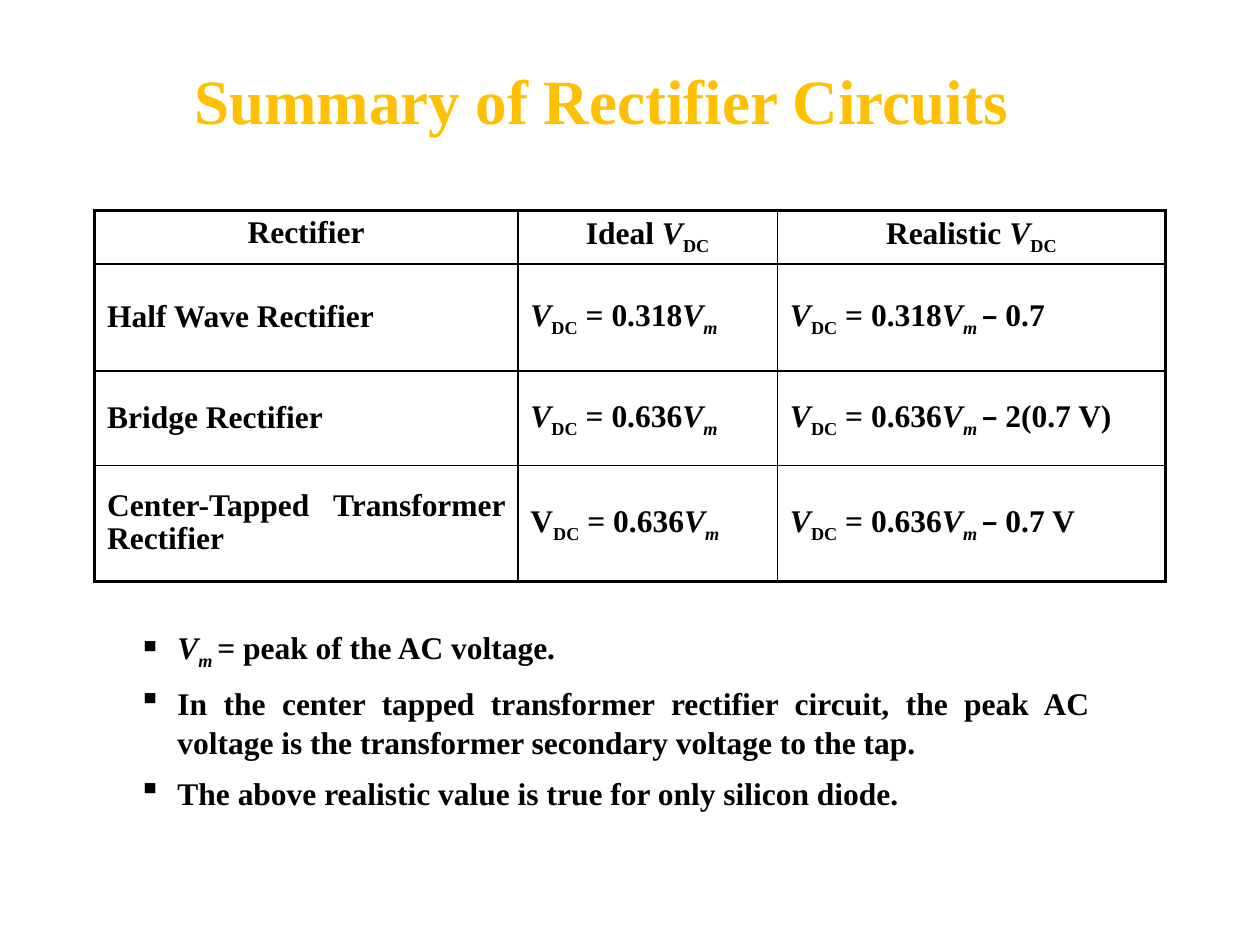
from lxml.etree import SubElement
from pptx import Presentation
from pptx.dml.color import RGBColor
from pptx.enum.text import MSO_ANCHOR as ANCHOR, PP_ALIGN as ALIGN
from pptx.oxml.ns import qn
from pptx.util import Inches, Pt

BLACK = RGBColor(0, 0, 0)
GOLD = RGBColor(0xFF, 0xC0, 0x00)
FONT = "Times New Roman"
DASH_FONT = "Cambria"

# Rich text is a list of (text, style): i = italic, s = subscript, d = dash font.
V_DC = [("V", "i"), ("DC", "s")]
COLUMNS = [3.36, 2.06, 3.08]
ROWS = [0.4, 0.85, 0.75, 0.92]
HEADER = [[("Rectifier", "")], [("Ideal ", "")] + V_DC,
          [("Realistic ", "")] + V_DC]
# Name, style of the leading V, factor, voltage drop
RECTIFIERS = [
    ("Half Wave Rectifier", "i", "0.318", "0.7"),
    ("Bridge Rectifier", "i", "0.636", "2(0.7 V)"),
    ("Center-Tapped Transformer Rectifier", "", "0.636", "0.7 V"),
]
NOTES = [
    [("V", "i"), ("m ", "is"), ("= peak of the AC voltage.", "")],
    [("In the center tapped transformer rectifier circuit, the peak AC "
      "voltage is the transformer secondary voltage to the tap.", "")],
    [("The above realistic value is true for only silicon diode.", "")],
]


def write(p, runs, size=18, color=BLACK):
    for text, style in runs:
        r = p.add_run()
        r.text = text
        f = r.font
        f.name = DASH_FONT if "d" in style else FONT
        f.size, f.bold, f.italic = Pt(size), True, "i" in style
        f.color.rgb = color
        if "s" in style:
            r._r.get_or_add_rPr().set("baseline", "-25000")


def add_text_box(slide, box, margin):
    tf = slide.shapes.add_textbox(*map(Inches, box)).text_frame
    tf.word_wrap = True
    tf.margin_left = tf.margin_right = Inches(margin)
    tf.margin_top = tf.margin_bottom = Inches(margin / 2)
    return tf


def add_title(slide, box, text):
    tf = add_text_box(slide, box, 0)
    write(tf.paragraphs[0], [(text, "")], 36, GOLD)


def add_notes(slide, box, notes):
    tf = add_text_box(slide, box, 0.1)
    for n, runs in enumerate(notes):
        p = tf.add_paragraph() if n else tf.paragraphs[0]
        p.alignment = ALIGN.JUSTIFY
        p.line_spacing = 1.05
        p.space_after = Pt(6)
        pPr = p._p.get_or_add_pPr()
        pPr.set("marL", str(Inches(0.31)))
        pPr.set("indent", str(Inches(-0.31)))
        SubElement(pPr, qn("a:buChar"), char="▪")
        write(p, runs)


def table_rows():
    yield HEADER
    for name, v_style, factor, drop in RECTIFIERS:
        tail = [(f" = {factor}", ""), ("V", "i")]
        ideal = [("V", v_style), ("DC", "s")] + tail + [("m", "is")]
        realistic = V_DC + tail + [("m ", "is"), ("–", "d"), (f" {drop}", "")]
        yield [[(name, "")], ideal, realistic]


def set_borders(cell, outer):
    """Draw the four sides, heavier where the side is on the table's edge."""
    tcPr = cell._tc.get_or_add_tcPr()
    for n, (side, is_outer) in enumerate(outer.items()):
        ln = tcPr.makeelement(qn(f"a:ln{side}"),
                              {"w": str(Pt(2.25 if is_outer else 1))})
        fill = SubElement(ln, qn("a:solidFill"))
        SubElement(fill, qn("a:srgbClr"), val=str(BLACK))
        tcPr.insert(n, ln)


def add_rectifier_table(slide, box):
    table = slide.shapes.add_table(len(ROWS), len(COLUMNS),
                                   *map(Inches, box)).table
    table.first_row = table.horz_banding = False
    for column, width in zip(table.columns, COLUMNS):
        column.width = Inches(width)
    for row, height in zip(table.rows, ROWS):
        row.height = Inches(height)
    for i, row in enumerate(table_rows()):
        for j, runs in enumerate(row):
            cell = table.cell(i, j)
            cell.fill.background()
            cell.vertical_anchor = ANCHOR.MIDDLE if i else ANCHOR.TOP
            p = cell.text_frame.paragraphs[0]
            p.alignment = ALIGN.JUSTIFY if i else ALIGN.CENTER
            p.line_spacing = 0.95
            before = SubElement(p._p.get_or_add_pPr(), qn("a:spcBef"))
            SubElement(before, qn("a:spcPct"), val="20000")
            write(p, runs)
            set_borders(cell, {"L": j == 0, "R": j == len(COLUMNS) - 1,
                               "T": i == 0, "B": i == len(ROWS) - 1})


def main():
    prs = Presentation()
    prs.slide_width, prs.slide_height = Inches(10), Inches(7.5)
    slide = prs.slides.add_slide(prs.slide_layouts[6])
    add_title(slide, (1.54, 0.49, 6.92, 0.61), "Summary of Rectifier Circuits")
    add_notes(slide, (1, 4.92, 7.75, 1.48), NOTES)
    add_rectifier_table(slide, (0.75, 1.67, sum(COLUMNS), sum(ROWS)))
    prs.save("out.pptx")


if __name__ == "__main__":
    main()
